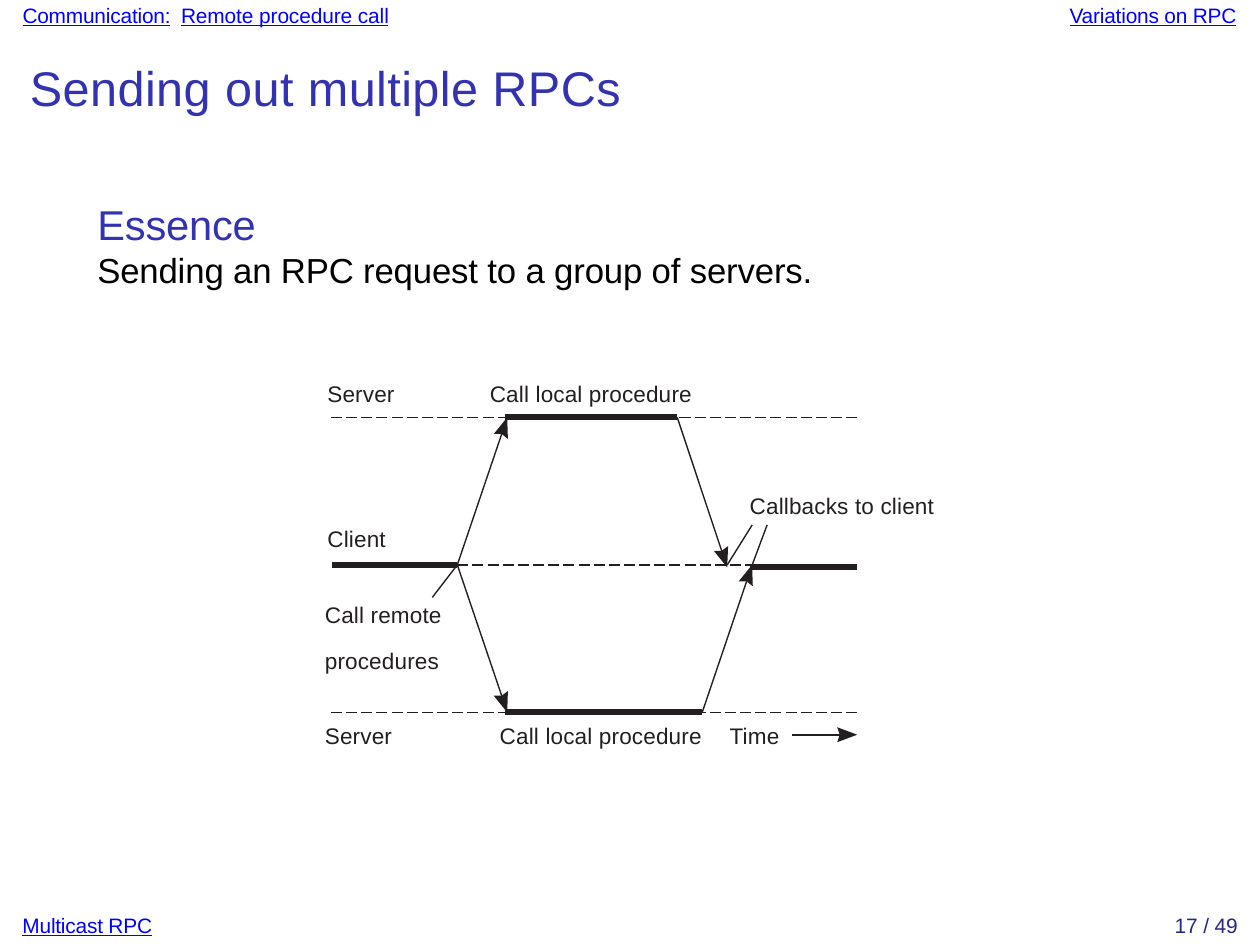
from dataclasses import dataclass
from math import hypot

from lxml.etree import SubElement
from pptx import Presentation
from pptx.dml.color import RGBColor
from pptx.enum.dml import MSO_LINE
from pptx.enum.shapes import MSO_CONNECTOR
from pptx.oxml.ns import qn
from pptx.util import Inches, Pt


@dataclass(frozen=True)
class Theme:
    font: str = "Arial"
    link: str = "0000FF"
    heading: str = "3333B2"
    body: str = "000000"
    ink: str = "231F20"
    page: str = "262685"
    small_size: float = 6
    label_size: float = 6.5
    title_size: float = 14
    essence_size: float = 12
    body_size: float = 10
    label_spacing: float = 0.05
    thin: float = 0.41
    thick: float = 1.66
    head_length: float = 0.08
    head_notch: float = 0.07
    head_half_width: float = 0.03


class SlideBuilder:
    def __init__(self, slide, theme):
        self.slide = slide
        self.theme = theme

    def text(self, left, top, width, height, paragraphs, inset=0.02):
        """Each paragraph is (runs, format); each run is (text, font, spacing)."""
        shape = self.slide.shapes.add_textbox(
            Inches(left), Inches(top), Inches(width), Inches(height))
        frame = shape.text_frame
        frame_format = {"word_wrap": True, "margin_left": 0, "margin_right": 0,
                        "margin_top": Inches(inset), "margin_bottom": 0}
        for name, value in frame_format.items():
            setattr(frame, name, value)
        for index, (runs, paragraph_format) in enumerate(paragraphs):
            paragraph = frame.add_paragraph() if index else frame.paragraphs[0]
            values = dict(paragraph_format)
            indent = values.pop("indent", 0.02)
            properties = paragraph._p.get_or_add_pPr()
            properties.set("marL", str(Inches(indent)))
            properties.set("indent", "0")
            for name, value in values.items():
                setattr(paragraph, name, Pt(value))
            for words, font_format, spacing in runs:
                self.run(paragraph, words, font_format, spacing)

    def run(self, paragraph, words, font_format, spacing):
        run = paragraph.add_run()
        run.text = words
        values = dict(font_format)
        run.font.color.rgb = RGBColor.from_string(values.pop("color"))
        run.font.size = Pt(values.pop("size"))
        run.font.name = self.theme.font
        for name, value in values.items():
            setattr(run.font, name, value)
        run._r.get_or_add_rPr().set("spc", str(round(spacing * 100)))

    def note(self, left, top, width, runs):
        """Small text in the page header or footer."""
        self.text(left, top, width, 0.13, [(runs, {"space_before": 0.9})], 0.01)

    def label(self, left, top, width, words):
        font = {"size": self.theme.label_size, "color": self.theme.ink}
        self.text(left, top, width, 0.14,
                  [([(words, font, self.theme.label_spacing)],
                    {"space_before": 1.1})])

    def line(self, start, end, width=None, dashed=False):
        connector = self.slide.shapes.add_connector(
            MSO_CONNECTOR.STRAIGHT, *map(Inches, (*start, *end)))
        connector.line.color.rgb = RGBColor.from_string(self.theme.ink)
        connector.line.width = Pt(width or self.theme.thin)
        if dashed:
            connector.line.dash_style = MSO_LINE.LONG_DASH
        SubElement(connector._element.spPr, qn("a:effectLst"))

    def arrow(self, start, tip):
        """Thin line ending in a notched solid head."""
        theme = self.theme
        length = hypot(tip[0] - start[0], tip[1] - start[1])
        along_x, along_y = ((b - a) / length for a, b in zip(start, tip))

        def behind_tip(back, side):
            return (tip[0] - back * along_x - side * along_y,
                    tip[1] - back * along_y + side * along_x)

        notch = behind_tip(theme.head_notch, 0)
        self.line(start, notch)
        outline = [behind_tip(theme.head_length, theme.head_half_width), notch,
                   behind_tip(theme.head_length, -theme.head_half_width)]
        builder = self.slide.shapes.build_freeform(
            *map(Inches, tip), scale=1.0)
        builder.add_line_segments(
            [(Inches(x), Inches(y)) for x, y in outline], close=True)
        head = builder.convert_to_shape()
        head.shadow.inherit = False
        head.fill.solid()
        head.fill.fore_color.rgb = RGBColor.from_string(theme.ink)
        head.line.fill.background()


def add_header_and_footer(builder):
    theme = builder.theme
    link = {"size": theme.small_size, "color": theme.link, "underline": True}
    gap = {"size": theme.small_size, "color": theme.heading}
    page = {"size": theme.small_size, "color": theme.page}
    builder.note(0.07, 0, 1.55, [("Communication:", link, -0.05), (" ", gap, 1.4),
                                 ("Remote procedure call", link, -0.04)])
    builder.note(4.26, 0, 0.75, [("Variations on RPC", link, -0.06)])
    builder.note(0.07, 3.64, 0.6, [("Multicast RPC", link, -0.05)])
    builder.note(4.68, 3.64, 0.32, [("17 / 49", page, -0.02)])


def add_title_and_essence(builder):
    theme = builder.theme
    title = {"size": theme.title_size, "color": theme.heading}
    essence = {"size": theme.essence_size, "color": theme.heading}
    body = {"size": theme.body_size, "color": theme.body}
    builder.text(0.1, 0.21, 3.3, 0.95, [
        ([("Sending out multiple RPCs", title, 0.12)], {"space_before": 1.2}),
        ([("Essence", essence, -0.06)],
         {"indent": 0.29, "space_before": 24.2, "line_spacing": 14.2}),
        ([("Sending an RPC request to a group of servers.", body, -0.04)],
         {"indent": 0.29, "line_spacing": 11.8}),
    ])


def add_labels(builder):
    theme = builder.theme
    for left, top, width, words in (
            (1.29, 1.5, 0.35, "Server"), (1.94, 1.5, 0.9, "Call local procedure"),
            (2.98, 1.95, 0.82, "Callbacks to client"),
            (1.28, 2.87, 0.35, "Server"), (1.98, 2.87, 0.9, "Call local procedure"),
            (2.9, 2.87, 0.27, "Time")):
        builder.label(left, top, width, words)
    font = {"size": theme.label_size, "color": theme.ink}
    spacing = theme.label_spacing
    builder.text(1.29, 2.08, 0.55, 0.53, [
        ([("Client", font, spacing)], {"space_before": 1.1}),
        ([("Call remote", font, spacing)],
         {"indent": 0.01, "space_before": 15.4, "line_spacing": 6.6}),
        ([("procedures", font, spacing)],
         {"indent": 0.01, "space_before": 6.7, "line_spacing": 6.6}),
    ])


def add_timeline(builder):
    thick = builder.theme.thick
    left, right = 1.31, 3.43
    top, middle, bottom = 1.67, 2.26, 2.85
    call, begin, top_end, bottom_end = 1.83, 2.02, 2.71, 2.81
    first_reply, second_reply = 2.91, 3.01

    # Waiting periods
    builder.line((call, middle), (second_reply, middle), dashed=True)
    for y in (top, bottom):
        builder.line((right, y), (left, y), dashed=True)

    # Working periods
    for start, end, y in ((begin, top_end, top), (begin, bottom_end, bottom),
                          (1.33, call, middle), (3, right, 2.27)):
        builder.line((start, y), (end, y), thick)

    # Requests, callbacks and time direction
    for start, tip in (((call, middle), (2.03, top)),
                       ((call, middle), (2.03, bottom)),
                       ((top_end, top), (first_reply, 2.27)),
                       ((bottom_end, bottom), (second_reply, middle)),
                       ((3.17, 2.94), (right, 2.94))):
        builder.arrow(start, tip)

    # Label pointers
    for start, end in (((1.73, 2.39), (call, middle)),
                       ((3.01, 2.1), (first_reply, middle)),
                       ((3.07, 2.1), (second_reply, middle))):
        builder.line(start, end)


def main():
    presentation = Presentation()
    # The page measures 363 by 272.5 points
    presentation.slide_width = Pt(363)
    presentation.slide_height = Pt(272.5)
    slide = presentation.slides.add_slide(presentation.slide_layouts[6])
    builder = SlideBuilder(slide, Theme())
    add_header_and_footer(builder)
    add_title_and_essence(builder)
    add_labels(builder)
    add_timeline(builder)
    presentation.save("out.pptx")


if __name__ == "__main__":
    main()
